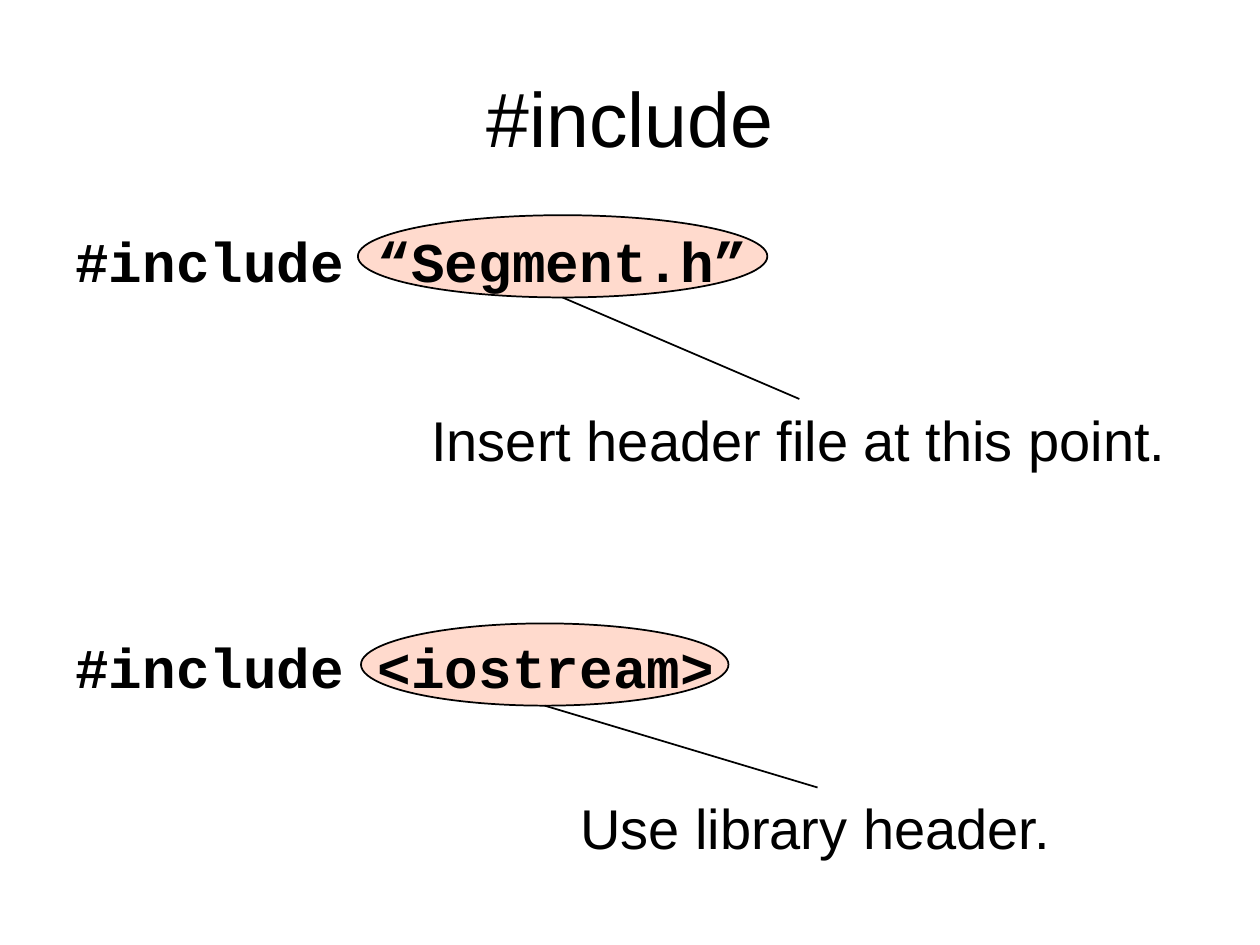
import pptx
import pptx.util
import pptx.dml.color
import pptx.enum.shapes
import pptx.enum.text
import pptx.oxml.ns
from lxml import etree

Pt = pptx.util.Pt
BLACK = pptx.dml.color.RGBColor(0x00, 0x00, 0x00)
PEACH = pptx.dml.color.RGBColor(0xFF, 0xDA, 0xCD)

deck = pptx.Presentation()
deck.slide_width = Pt(720)
deck.slide_height = Pt(540)
page = deck.slides.add_slide(deck.slide_layouts[6])


def add_text(text, left, top, width, height, size, font="Arial", bold=False):
    box = page.shapes.add_textbox(Pt(left), Pt(top), Pt(width), Pt(height))
    box.text_frame.word_wrap = False
    box.text_frame.text = text
    span = box.text_frame.paragraphs[0].runs[0]
    span.font.name = font
    span.font.size = Pt(size)
    span.font.bold = bold
    span.font.color.rgb = BLACK
    return box


# Title
title = add_text("#include", 36, 21.6, 648, 90, 44)
title.text_frame.word_wrap = True
title.text_frame.vertical_anchor = pptx.enum.text.MSO_ANCHOR.MIDDLE
title.text_frame.paragraphs[0].alignment = pptx.enum.text.PP_ALIGN.CENTER

# Each example: code, code top, oval (left, top, width),
# note, note (left, top, width), x of the line's end
examples = [
    ("#include “Segment.h”", 126, (204.5, 123, 234),
     "Insert header file at this point.", (239.4, 228, 435), 456.8),
    ("#include <iostream>", 358, (206.3, 356.25, 210),
     "Use library header.", (324.4, 450, 285), 467.2),
]
OVAL_HEIGHT = 47

for code, code_top, oval_place, note, note_place, line_end in examples:
    # Highlight behind the header name
    oval_left, oval_top, oval_width = oval_place
    oval = page.shapes.add_shape(
        pptx.enum.shapes.MSO_SHAPE.OVAL,
        Pt(oval_left), Pt(oval_top), Pt(oval_width), Pt(OVAL_HEIGHT))
    oval.shadow.inherit = False
    oval.fill.solid()
    oval.fill.fore_color.rgb = PEACH
    oval.line.color.rgb = BLACK
    oval.line.width = Pt(1)

    # Code and its explanation
    add_text(code, 36, code_top, 648, 44, 32, "Courier New", True)
    note_left, note_top, note_width = note_place
    add_text(note, note_left, note_top, note_width, 45.4, 32)

    # Line from the bottom of the oval to the note
    line = page.shapes.add_connector(
        pptx.enum.shapes.MSO_CONNECTOR.STRAIGHT,
        Pt(oval_left + oval_width / 2), Pt(oval_top + OVAL_HEIGHT),
        Pt(line_end), Pt(note_top))
    line.line.color.rgb = BLACK
    line.line.width = Pt(1)
    etree.SubElement(line._element.spPr, pptx.oxml.ns.qn("a:effectLst"))

deck.save("out.pptx")
